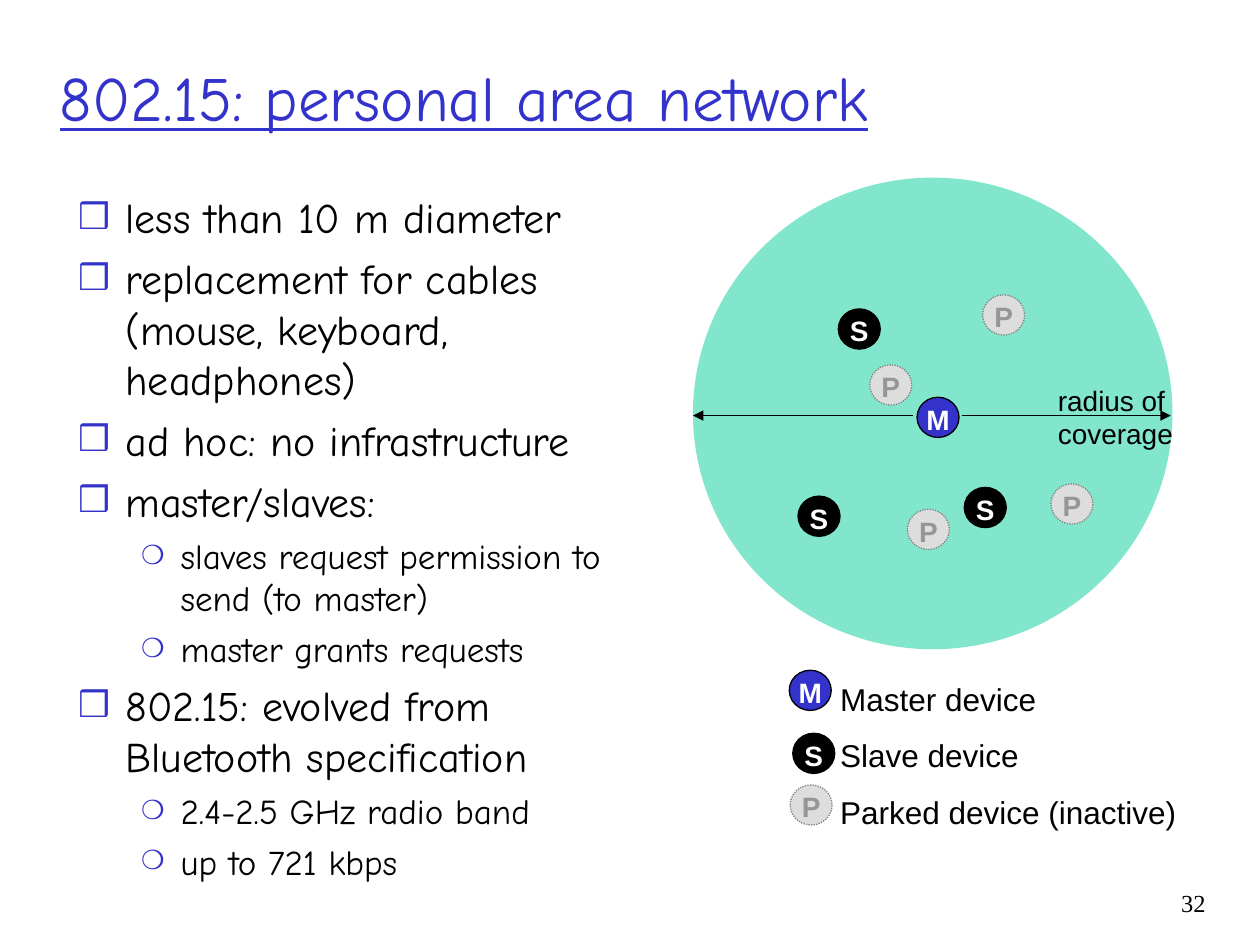
from lxml.etree import SubElement
from pptx import Presentation
from pptx.dml.color import RGBColor
from pptx.enum.dml import MSO_LINE
from pptx.enum.shapes import MSO_CONNECTOR, MSO_SHAPE
from pptx.enum.text import MSO_ANCHOR, MSO_AUTO_SIZE, PP_ALIGN
from pptx.oxml.ns import qn
from pptx.util import Pt

COLORS = {
    "blue": "3333CC", "teal": "00CC99", "black": "000000", "white": "FFFFFF",
    "light": "DDDDDD", "edge": "808080", "gray": "969696",
}
HEADING_FONT, LABEL_FONT, NUMBER_FONT = "Comic Neue", "Arial", "Times New Roman"

# kind: fill, outline, letter colour
DEVICES = {
    "M": ("blue", "black", "white"),
    "S": ("black", "black", "white"),
    "P": ("light", "edge", "gray"),
}
DEVICE_SIZE = (24, 23)
PICONET = [
    ("M", 524, 227), ("S", 479, 176.5), ("S", 551, 278.5), ("S", 456, 283.5),
    ("P", 561.5, 168.5), ("P", 518.5, 291), ("P", 497, 208.5), ("P", 600.5, 276.5),
]
LEGEND = [("M", 451, 383), ("S", 453, 419), ("P", 451.5, 448.5)]

# level: indent, hanging, space before, bullet, bullet size in %, text size
LEVELS = [(27, 27, 6, "❒", 85, 24), (58.5, 22.5, 5, "❍", 75, 20)]
POINTS = [
    (0, "less than 10 m diameter"),
    (0, "replacement for cables (mouse, keyboard, headphones)"),
    (0, "ad hoc: no infrastructure"),
    (0, "master/slaves:"),
    (1, "slaves request permission to send (to master)"),
    (1, "master grants requests"),
    (0, "802.15: evolved from Bluetooth specification"),
    (1, "2.4-2.5 GHz radio band"),
    (1, "up to 721 kbps"),
]


def color(name):
    return RGBColor.from_string(COLORS[name])


def add_span(para, text, font, size, tint="black"):
    span = para.add_run()
    span.text = text
    span.font.name = font
    span.font.size = Pt(size)
    span.font.color.rgb = color(tint)
    return span


def place(box, left, top, width, height):
    box.left, box.top, box.width, box.height = map(Pt, (left, top, width, height))


def next_para(frame, index):
    return frame.add_paragraph() if index else frame.paragraphs[0]


def add_title(page, text):
    title = page.shapes.title
    place(title, 27, 22, 612, 66)
    frame = title.text_frame
    frame.auto_size = MSO_AUTO_SIZE.NONE
    frame.vertical_anchor = MSO_ANCHOR.MIDDLE
    para = frame.paragraphs[0]
    para.alignment = PP_ALIGN.LEFT
    add_span(para, text, HEADING_FONT, 36, "blue").font.underline = True


def set_bullet(para, indent, hanging, mark, percent):
    props = para._p.get_or_add_pPr()
    props.set("marL", str(Pt(indent)))
    props.set("indent", str(-Pt(hanging)))
    tint = SubElement(props, qn("a:buClr"))
    SubElement(tint, qn("a:srgbClr"), val=COLORS["blue"])
    SubElement(props, qn("a:buSzPct"), val=str(percent * 1000))
    SubElement(props, qn("a:buChar"), char=mark)


def add_points(page):
    body = page.placeholders[1]
    place(body, 37.5, 106, 351, 434)
    frame = body.text_frame
    frame.auto_size = MSO_AUTO_SIZE.NONE
    for index, (level, text) in enumerate(POINTS):
        indent, hanging, gap, mark, percent, size = LEVELS[level]
        para = next_para(frame, index)
        para.level = level
        para.space_before = Pt(gap)
        set_bullet(para, indent, hanging, mark, percent)
        add_span(para, text, HEADING_FONT, size)


def add_ellipse(page, left, top, width, height, fill):
    ellipse = page.shapes.add_shape(
        MSO_SHAPE.OVAL, Pt(left), Pt(top), Pt(width), Pt(height))
    ellipse.shadow.inherit = False
    ellipse.fill.solid()
    ellipse.fill.fore_color.rgb = color(fill)
    return ellipse


def add_coverage(page):
    """Add the half-transparent disc that the network covers."""
    disc = add_ellipse(page, 396, 101.5, 274, 269.5, "teal")
    disc.line.fill.background()
    tint = disc.fill._xPr.find(".//" + qn("a:srgbClr"))
    SubElement(tint, qn("a:alpha"), val="49000")


def add_device(page, kind, left, top):
    fill, outline, letter = DEVICES[kind]
    device = add_ellipse(page, left, top, *DEVICE_SIZE, fill)
    device.line.color.rgb = color(outline)
    device.line.width = Pt(0.75)
    if kind == "P":
        device.line.dash_style = MSO_LINE.ROUND_DOT
    frame = device.text_frame
    frame.word_wrap = False
    frame.margin_left = frame.margin_right = frame.margin_bottom = 0
    frame.margin_top = Pt(2)
    frame.vertical_anchor = MSO_ANCHOR.MIDDLE
    para = frame.paragraphs[0]
    para.alignment = PP_ALIGN.CENTER
    add_span(para, kind, LABEL_FONT, 16, letter).font.bold = True


def add_arrow(page, start, end, height):
    arrow = page.shapes.add_connector(
        MSO_CONNECTOR.STRAIGHT, Pt(start), Pt(height), Pt(end), Pt(height))
    arrow.line.color.rgb = color("black")
    arrow.line.width = Pt(0.75)
    SubElement(arrow.line._get_or_add_ln(), qn("a:tailEnd"), type="triangle")
    SubElement(arrow._element.spPr, qn("a:effectLst"))


def add_text(page, area, lines, size, font=LABEL_FONT, spacing=None,
             align=PP_ALIGN.LEFT, wrap=False):
    box = page.shapes.add_textbox(*map(Pt, area))
    frame = box.text_frame
    frame.word_wrap = wrap
    for index, line in enumerate(lines):
        para = next_para(frame, index)
        para.alignment = align
        para.line_spacing = spacing
        add_span(para, line, font, size)


def main():
    deck = Presentation()
    deck.slide_width, deck.slide_height = Pt(720), Pt(540)
    page = deck.slides.add_slide(deck.slide_layouts[1])

    add_title(page, "802.15: personal area network")
    add_points(page)

    add_coverage(page)
    for start, end in ((549.5, 669), (521.5, 396)):
        add_arrow(page, start, end, 237.5)
    for kind, left, top in PICONET + LEGEND:
        add_device(page, kind, left, top)
    add_text(page, (597.5, 215.5, 80, 46), ["radius of", "coverage"], 16)
    add_text(page, (473, 374, 206.5, 104),
             ["Master device", "Slave device", "Parked device (inactive)"],
             18, spacing=1.5)
    add_text(page, (643, 504, 53, 36), ["32"], 14, NUMBER_FONT,
             align=PP_ALIGN.RIGHT, wrap=True)

    deck.save("out.pptx")


if __name__ == "__main__":
    main()
